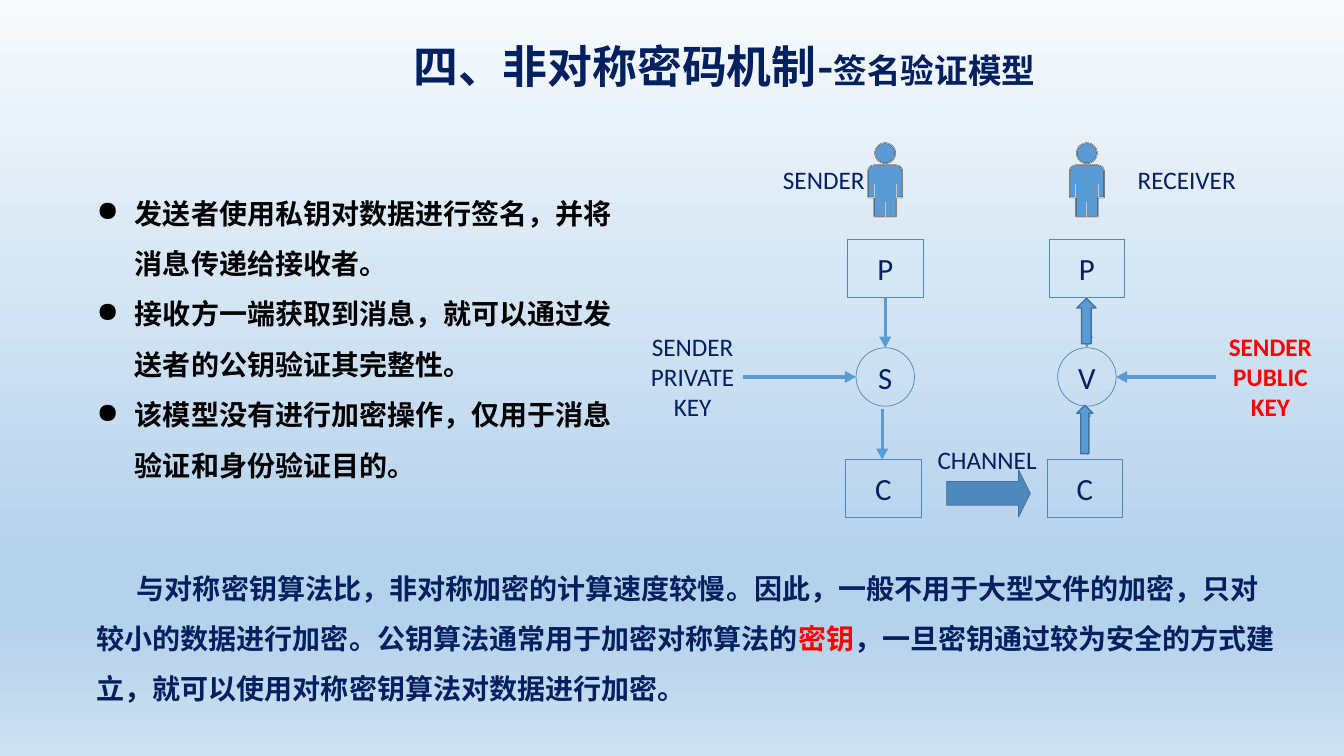
import math

import pptx
import pptx.dml.color
import pptx.enum.dml
import pptx.enum.shapes
import pptx.enum.text
import pptx.oxml
import pptx.oxml.ns
import pptx.util
from lxml import etree

RGBColor = pptx.dml.color.RGBColor
Inches = pptx.util.Inches
Pt = pptx.util.Pt
qn = pptx.oxml.ns.qn
SHAPE = pptx.enum.shapes.MSO_SHAPE
ALIGN = pptx.enum.text.PP_ALIGN
ANCHOR = pptx.enum.text.MSO_ANCHOR
AUTO = pptx.enum.text.MSO_AUTO_SIZE

NAVY = RGBColor(0x00, 0x20, 0x60)
BLACK = RGBColor(0x00, 0x00, 0x00)
RED = RGBColor(0xFF, 0x00, 0x00)
BLUE = RGBColor(0x5B, 0x9B, 0xD5)
STEEL = RGBColor(0x4F, 0x88, 0xBB)
EDGE = RGBColor(0x43, 0x73, 0x9E)
DARK_EDGE = RGBColor(0x41, 0x71, 0x9C)
GREY = RGBColor(0xC8, 0xC8, 0xC8)
SKY_TOP = RGBColor(0xF7, 0xFA, 0xFD)
SKY = RGBColor(0xB5, 0xD2, 0xEC)
SKY_END = RGBColor(0xCE, 0xE1, 0xF2)

CJK = "Noto Sans CJK SC"
TITLE = {"name": CJK, "size": Pt(32), "bold": True}
SUBTITLE = {"name": CJK, "size": Pt(24), "bold": True}
BODY = {"name": CJK, "size": Pt(20), "bold": True}
LABEL = {"name": "Calibri", "size": Pt(18)}
KEY_LABEL = {"name": "Calibri", "size": Pt(18), "bold": True}
SYMBOL = {"name": "Calibri", "size": Pt(22)}
NO_INSETS = {"margin_left": 0, "margin_right": 0, "margin_top": 0, "margin_bottom": 0}


def apply(target, values):
    for name, value in values.items():
        setattr(target, name, value)


def arc(cx, cy, radius, start, end, steps):
    angles = [math.radians(start + (end - start) * i / steps) for i in range(steps + 1)]
    return [(cx + radius * math.cos(a), cy + radius * math.sin(a)) for a in angles]


class Diagram:
    def __init__(self, slide):
        self.s = slide

    def background(self, stops):
        fill = self.s.background.fill
        fill.gradient()
        fill.gradient_angle = 270
        gs_lst = self.s.element.find(".//" + qn("a:gsLst"))
        for gs in list(gs_lst):
            gs_lst.remove(gs)
        for position, color in stops:
            gs = etree.SubElement(gs_lst, qn("a:gs"), pos=str(position * 1000))
            etree.SubElement(gs, qn("a:srgbClr"), val=str(color))

    def paint(self, sp, fill=None, line=None, width=0.5):
        sp.shadow.inherit = False
        if fill is None:
            sp.fill.background()
        else:
            sp.fill.solid()
            sp.fill.fore_color.rgb = fill
        if line is None:
            sp.line.fill.background()
        else:
            sp.line.color.rgb = line
            sp.line.width = Pt(width)

    def run(self, p, text, style, color):
        r = p.add_run()
        r.text = text
        apply(r.font, style)
        r.font.color.rgb = color
        if style["name"] == CJK:
            r.font._element.find(qn("a:latin")).addnext(
                pptx.oxml.parse_xml(
                    '<a:ea xmlns:a="http://schemas.openxmlformats.org/drawingml/2006/main" typeface="%s"/>' % CJK))

    def text(self, x, y, w, h, paragraphs, margin=0, indent=0, bullet=None):
        tf = self.s.shapes.add_textbox(Inches(x), Inches(y), Inches(w), Inches(h)).text_frame
        apply(tf, {"word_wrap": True, "auto_size": AUTO.SHAPE_TO_FIT_TEXT})
        for i, runs in enumerate(paragraphs):
            p = tf.add_paragraph() if i else tf.paragraphs[0]
            p.line_spacing = 1.5
            pPr = p._p.get_or_add_pPr()
            pPr.set("marL", str(Inches(margin)))
            pPr.set("indent", str(Inches(indent)))
            if bullet:
                etree.SubElement(pPr, qn("a:buChar"), char=bullet)
            for r in runs:
                self.run(p, *r)

    def label(self, cx, y, w, text, style=LABEL, color=NAVY):
        tf = self.s.shapes.add_textbox(Inches(cx - w / 2), Inches(y), Inches(w), Inches(0.3)).text_frame
        apply(tf, {**NO_INSETS, "word_wrap": False, "auto_size": AUTO.SHAPE_TO_FIT_TEXT})
        p = tf.paragraphs[0]
        p.alignment = ALIGN.CENTER
        self.run(p, text, style, color)

    def node(self, kind, cx, y, w, h, letter):
        sp = self.s.shapes.add_shape(kind, Inches(cx - w / 2), Inches(y), Inches(w), Inches(h))
        self.paint(sp, line=STEEL)
        apply(sp.text_frame, {**NO_INSETS, "word_wrap": False, "vertical_anchor": ANCHOR.MIDDLE})
        p = sp.text_frame.paragraphs[0]
        p.alignment = ALIGN.CENTER
        self.run(p, letter, SYMBOL, NAVY)

    def block_arrow(self, x, y, w, h, fill, line, width, rotation=0, head=0.5):
        sp = self.s.shapes.add_shape(SHAPE.RIGHT_ARROW, Inches(x), Inches(y), Inches(w), Inches(h))
        self.paint(sp, fill, line, width)
        sp.rotation = rotation
        sp.adjustments[1] = head

    def line(self, x1, y1, x2, y2, width, head=False):
        sp = self.s.shapes.add_connector(
            pptx.enum.shapes.MSO_CONNECTOR.STRAIGHT, Inches(x1), Inches(y1), Inches(x2), Inches(y2))
        sp.line.color.rgb = BLUE
        sp.line.width = Pt(width)
        if head:
            etree.SubElement(sp.line._get_or_add_ln(), qn("a:tailEnd"), type="triangle")
        etree.SubElement(sp._element.spPr, qn("a:effectLst"))

    def outline(self, contours, **look):
        points = [[(Inches(x), Inches(y)) for x, y in contour] for contour, _ in contours]
        fb = self.s.shapes.build_freeform(*points[0][0])
        for i, (contour, (_, closed)) in enumerate(zip(points, contours)):
            if i:
                fb.move_to(*contour[0])
            fb.add_line_segments(contour[1:], close=closed)
        self.paint(fb.convert_to_shape(), **look)

    def arrow(self, x1, y1, x2, y2, size=0.11, half=0.06):
        length = math.hypot(x2 - x1, y2 - y1)
        dx, dy = (x2 - x1) / length, (y2 - y1) / length
        bx, by = x2 - size * dx, y2 - size * dy
        self.line(x1, y1, bx, by, 2.25)
        head = [(bx - half * dy, by + half * dx), (x2, y2), (bx + half * dy, by - half * dx)]
        self.outline([(head, True)], fill=BLUE)

    def person(self, cx, y):
        torso = arc(-0.11, 0.28, 0.06, 270, 180, 6)
        torso += [(-0.17, 0.54), (-0.11, 0.54), (-0.11, 0.73), (0.11, 0.73), (0.11, 0.54), (0.17, 0.54)]
        torso += arc(0.11, 0.28, 0.06, 0, -90, 6)
        head = arc(0, 0.1, 0.1, 0, 360, 36)[:-1]
        limbs = [[(0, 0.73), (0, 0.58)], [(-0.11, 0.54), (-0.11, 0.41)], [(0.11, 0.54), (0.11, 0.41)]]

        def place(contour):
            return [(cx + px, y + py) for px, py in contour]

        body = [(place(torso), True), (place(head), True)]
        self.outline(body, fill=BLUE, line=BLACK, width=0)
        self.outline(body + [(place(limb), False) for limb in limbs], line=GREY)


def main():
    prs = pptx.Presentation()
    prs.slide_width, prs.slide_height = Inches(13.33), Inches(7.5)
    d = Diagram(prs.slides.add_slide(prs.slide_layouts[6]))
    d.background([(0, SKY_TOP), (74, SKY), (83, SKY), (100, SKY_END)])

    d.text(3.5, 0.07, 8.33, 0.78,
           [[("四、非对称密码机制-", TITLE, NAVY), ("签名验证模型", SUBTITLE, NAVY)]], margin=0.5)
    points = ["发送者使用私钥对数据进行签名，并将消息传递给接收者。",
              "接收方一端获取到消息，就可以通过发送者的公钥验证其完整性。",
              "该模型没有进行加密操作，仅用于消息验证和身份验证目的。"]
    d.text(0.86, 1.73, 5.31, 3.13, [[(point, BODY, BLACK)] for point in points],
           margin=0.38, indent=-0.38, bullet="●")
    d.text(0.86, 5.45, 11.94, 1.62, [[
        ("与对称密钥算法比，非对称加密的计算速度较慢。因此，一般不用于大型文件的加密，"
         "只对较小的数据进行加密。公钥算法通常用于加密对称算法的", BODY, NAVY),
        ("密钥", BODY, RED),
        ("，一旦密钥通过较为安全的方式建立，就可以使用对称密钥算法对数据进行加密。", BODY, NAVY)]],
        indent=0.4)

    for cx, operation in ((8.78, "S"), (10.78, "V")):
        d.person(cx, 1.42)
        d.node(SHAPE.RECTANGLE, cx, 2.38, 0.75, 0.57, "P")
        d.node(SHAPE.OVAL, cx, 3.45, 0.58, 0.58, operation)
        d.node(SHAPE.RECTANGLE, cx - 0.02, 4.56, 0.75, 0.57, "C")
        d.arrow(cx, 2.95, cx, 3.45)
    d.arrow(8.75, 4.06, 8.75, 4.56)
    d.arrow(7.37, 3.74, 8.49, 3.74)
    d.arrow(12.06, 3.74, 11.07, 3.74)

    keys = ((6.87, "PRIVATE", LABEL, NAVY), (12.6, "PUBLIC", KEY_LABEL, RED))
    for cx, kind, style, color in keys:
        for i, word in enumerate(("SENDER", kind, "KEY")):
            d.label(cx, 3.29 + 0.295 * i, 0.83, word, style, color)
    d.label(9.79, 4.41, 0.99, "CHANNEL")
    d.label(8.17, 1.63, 0.82, "SENDER")
    d.label(11.77, 1.63, 0.98, "RECEIVER")

    d.block_arrow(9.39, 4.66, 0.83, 0.47, STEEL, DARK_EDGE, 0.5, head=0.25)
    d.line(10.78, 4.51, 10.78, 4.05, 0.5, head=True)
    d.block_arrow(10.55, 3.09, 0.45, 0.19, BLUE, EDGE, 1, rotation=270)
    d.block_arrow(10.52, 4.18, 0.48, 0.16, BLUE, EDGE, 1, rotation=270)
    prs.save("out.pptx")


if __name__ == "__main__":
    main()
